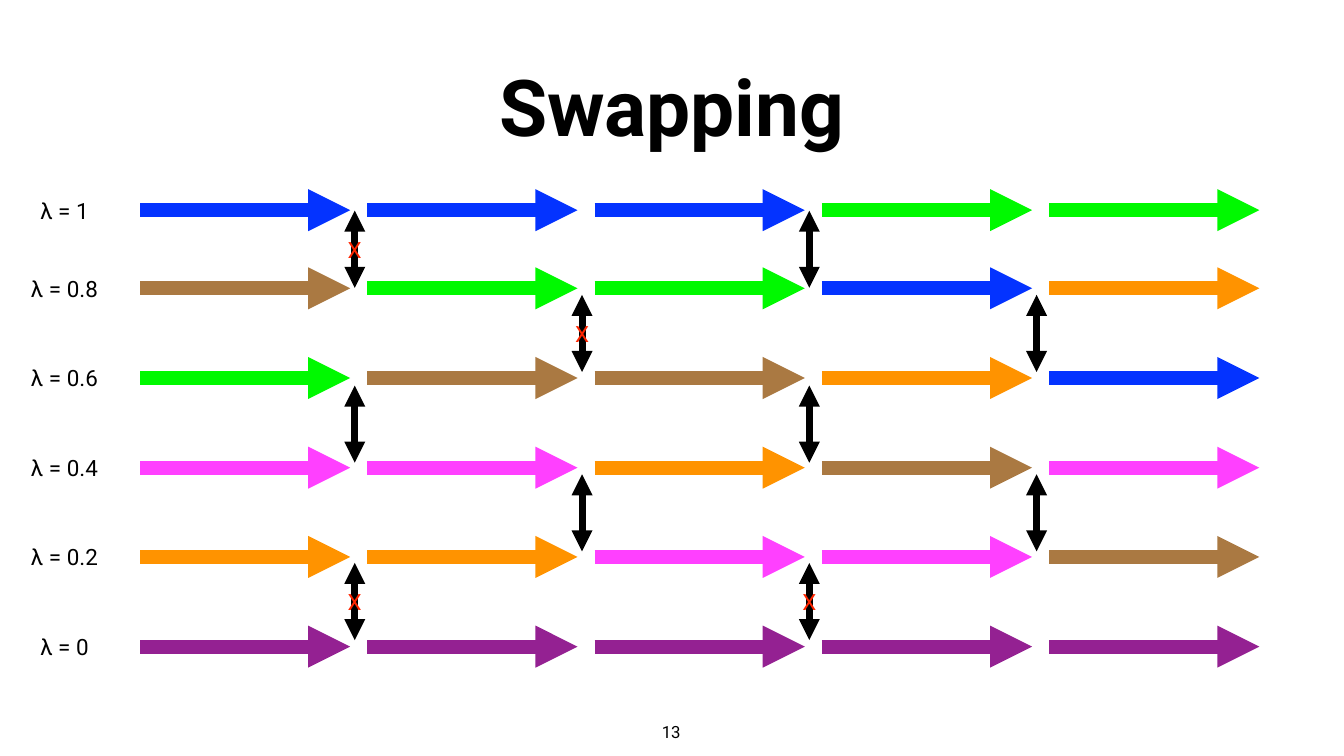
from lxml import etree
from pptx import Presentation
from pptx.dml.color import RGBColor
from pptx.enum.shapes import MSO_CONNECTOR
from pptx.enum.text import MSO_ANCHOR, PP_ALIGN
from pptx.oxml.ns import qn
from pptx.util import Inches, Pt

STRAIGHT = MSO_CONNECTOR.STRAIGHT
MIDDLE = MSO_ANCHOR.MIDDLE
TOP = MSO_ANCHOR.TOP
CENTER = PP_ALIGN.CENTER

FONT = "Roboto"
BLACK = "000000"
RED = "FF2600"
BLUE = "0433FF"
BROWN = "AA7942"
GREEN = "00F900"
PINK = "FF40FF"
ORANGE = "FF9300"
PURPLE = "942192"

LAMBDAS = ["1", "0.8", "0.6", "0.4", "0.2", "0"]
ROW_CENTERS = [4.17, 5.72, 7.5, 9.28, 11.05, 12.83]
STAGES = [
    [BLUE, BROWN, GREEN, PINK, ORANGE, PURPLE],
    [BLUE, GREEN, BROWN, PINK, ORANGE, PURPLE],
    [BLUE, GREEN, BROWN, ORANGE, PINK, PURPLE],
    [GREEN, BLUE, ORANGE, BROWN, PINK, PURPLE],
    [GREEN, ORANGE, BLUE, PINK, BROWN, PURPLE],
]
STAGE_LEFT = 2.78
STAGE_STEP = 4.51
ARROW_LENGTH = 4.17
SWAP_OFFSET = 4.26
SWAP_TOPS = [4.18, 5.85, 7.65, 9.41, 11.17]
SWAP_LENGTH = 1.53
REJECTED_SWAPS = {(0, 0), (0, 4), (1, 1), (2, 4)}
LABEL_HEIGHT = 0.68


def color(value):
    return RGBColor.from_string(value)


class SlideBuilder:
    def __init__(self, slide, font):
        self.slide = slide
        self.font = font

    def add_text(self, shape, text, size, fill=BLACK, bold=False, anchor=MIDDLE, wrap=True):
        frame = shape.text_frame
        frame.word_wrap = wrap
        frame.vertical_anchor = anchor
        frame.margin_left = frame.margin_right = Inches(0.08)
        frame.margin_top = frame.margin_bottom = Inches(0.08)
        paragraph = frame.paragraphs[0]
        paragraph.alignment = CENTER
        run = paragraph.add_run()
        run.text = text
        run.font.name = self.font
        run.font.size = Pt(size)
        run.font.bold = bold
        run.font.color.rgb = color(fill)

    def title(self, text, left, top, width, height):
        shape = self.slide.shapes.title
        shape.left, shape.top = Inches(left), Inches(top)
        shape.width, shape.height = Inches(width), Inches(height)
        self.add_text(shape, text, 112, bold=True)

    def label(self, text, center, middle, width, height=LABEL_HEIGHT, size=32, **style):
        shape = self.slide.shapes.add_textbox(
            Inches(center - width / 2), Inches(middle - height / 2),
            Inches(width), Inches(height))
        self.add_text(shape, text, size, **style)

    def arrow(self, start, end, stroke, weight, both_ends=False):
        connector = self.slide.shapes.add_connector(
            STRAIGHT, *[Inches(value) for value in (*start, *end)])
        connector.line.color.rgb = color(stroke)
        connector.line.width = Pt(weight)
        line = connector.line._get_or_add_ln()
        for tag in ["a:headEnd", "a:tailEnd"] if both_ends else ["a:tailEnd"]:
            etree.SubElement(line, qn(tag), type="triangle")
        etree.SubElement(connector._element.spPr, qn("a:effectLst"))


def main():
    presentation = Presentation()
    presentation.slide_width = Inches(26.67)
    presentation.slide_height = Inches(15)
    slide = presentation.slides.add_slide(presentation.slide_layouts[5])
    builder = SlideBuilder(slide, FONT)

    builder.title("Swapping", 0.69, 0.69, 25.28, 2.78)
    builder.label("13", 13.32, 14.51, 0.54, 0.56, size=24, anchor=TOP, wrap=False)

    for value, middle in zip(LAMBDAS, ROW_CENTERS):
        width = 1.54 if "." in value else 1.17
        builder.label(f"λ = {value}", 1.28, middle, width, wrap=False)

    for stage, strokes in enumerate(STAGES):
        left = STAGE_LEFT + stage * STAGE_STEP
        for middle, stroke in zip(ROW_CENTERS, strokes):
            builder.arrow((left, middle), (left + ARROW_LENGTH, middle), stroke, 20)

    for stage in range(len(STAGES) - 1):
        center = STAGE_LEFT + stage * STAGE_STEP + SWAP_OFFSET
        for gap in range(stage % 2, len(SWAP_TOPS), 2):
            top = SWAP_TOPS[gap]
            builder.arrow((center, top + SWAP_LENGTH), (center, top), BLACK, 10, both_ends=True)
            if (stage, gap) in REJECTED_SWAPS:
                builder.label("X", center, top + SWAP_LENGTH / 2, 0.47, fill=RED)

    presentation.save("out.pptx")


if __name__ == "__main__":
    main()
